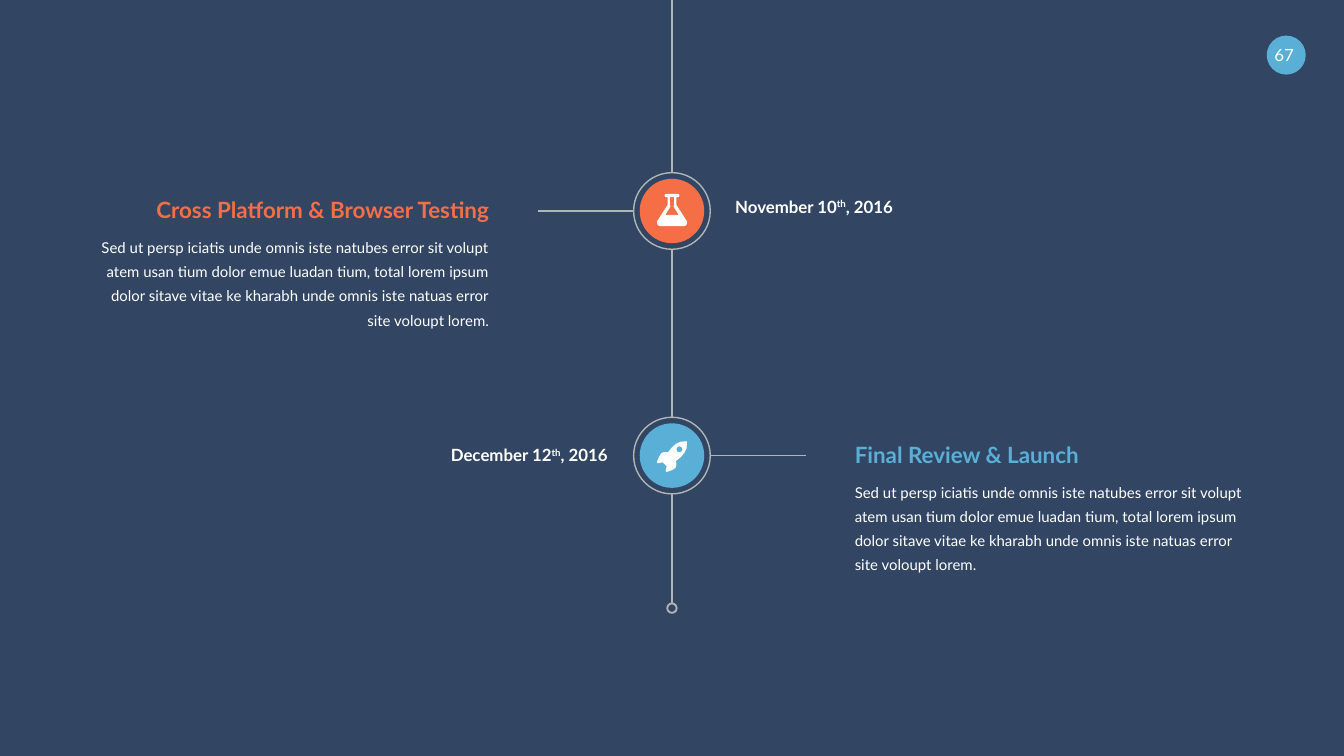
"""Build a dark timeline slide with two dated milestones."""
from dataclasses import dataclass
from itertools import pairwise
from math import cos, pi, sin

from lxml import etree
from pptx import Presentation
from pptx.dml.color import RGBColor
from pptx.enum import shapes, text
from pptx.oxml.ns import qn
from pptx.util import Inches, Pt

Points = list[tuple[float, float]]


@dataclass(frozen=True)
class Theme:
    """Colours, font and type sizes."""
    back: str = "324664"
    line: str = "B0B6B6"
    white: str = "FFFFFF"
    orange: str = "F56E46"
    blue: str = "5AAFD7"
    font: str = "Lato"
    heading: float = 12
    label: float = 9
    body: float = 8


@dataclass(frozen=True)
class Milestone:
    """One stop on the timeline, with its text on one side and date on the other."""
    y: float
    date_y: float
    text_x: float
    date_x: float
    on_left: bool
    color: str
    heading: str
    day: str
    icon: list[Points]


THEME = Theme()
AXIS = 5.0
RING, DISC, DOT = 0.57, 0.48, 0.07
SPINE_END = 4.49
BRANCH = 0.71
TEXT_W, DATE_W = 2.89, 1.62
BODY = ("Sed ut persp iciatis unde omnis iste natubes error sit volupt atem usan tium "
        "dolor emue luadan tium, total lorem ipsum dolor sitave vitae ke kharabh unde "
        "omnis iste natuas error site voloupt lorem.")


def mirrored(half: Points) -> Points:
    """Close a right-hand outline with its reflection."""
    return half + [(-x, y) for x, y in reversed(half)]


FLASK = [
    mirrored([(46, -127), (53, -122), (55, -115), (53, -107), (46, -103), (33, -103),
              (33, -45), (110, 75), (112, 92), (105, 107), (90, 113)]),
    mirrored([(15, -103), (15, -45), (11, -33), (50, 30)]),
]
ROCKET = [
    [(30, 40), (65, 12), (92, -20), (108, -55), (112, -102), (107, -107), (65, -103),
     (30, -88), (0, -62), (-30, -25), (-62, -26), (-80, -18), (-94, 5), (-112, 45),
     (-110, 54), (-100, 57), (-70, 50), (-40, 80), (-47, 110), (-45, 120), (-36, 121),
     (8, 105), (26, 90), (33, 68)],
    [(55 + 22 * cos(k * pi / 8), -47 + 22 * sin(k * pi / 8)) for k in range(16)],
]
MILESTONES = [
    Milestone(1.57, 1.46, 0.75, 5.47, True, THEME.orange,
              "Cross Platform & Browser Testing", "November 10", FLASK),
    Milestone(3.39, 3.31, 6.36, 2.9, False, THEME.blue,
              "Final Review & Launch", "December 12", ROCKET),
]


def rgb(color: str) -> RGBColor:
    """Turn a hex string into a colour."""
    return RGBColor.from_string(color)


def write(sp, *runs: str, size: float, color: str = THEME.white, bold: bool = False,
          align=text.PP_ALIGN.LEFT, spacing: float = 1.0, raised: str = "") -> None:
    """Fill a shape with one formatted, unbulleted paragraph."""
    tf = sp.text_frame
    tf.word_wrap = True
    tf.auto_size = text.MSO_AUTO_SIZE.NONE
    tf.vertical_anchor = text.MSO_ANCHOR.TOP
    tf.margin_left = tf.margin_right = tf.margin_top = tf.margin_bottom = 0
    p = tf.paragraphs[0]
    p.alignment, p.line_spacing = align, spacing
    p.space_before = p.space_after = Pt(0)
    props = p._p.get_or_add_pPr()
    props.set("marL", "0")
    props.set("indent", "0")
    etree.SubElement(props, qn("a:buNone"))
    for words in runs:
        r = p.add_run()
        r.text = words
        r.font.name, r.font.size, r.font.bold = THEME.font, Pt(size), bold
        r.font.color.rgb = rgb(color)
        if words == raised:
            r._r.get_or_add_rPr().set("baseline", "30000")


def place(sp, x: float, y: float, w: float, h: float):
    """Move and size a shape."""
    sp.left, sp.top, sp.width, sp.height = map(Inches, (x, y, w, h))
    return sp


def text_box(slide, x: float, y: float, w: float, h: float):
    """Add an empty text box."""
    return slide.shapes.add_textbox(*map(Inches, (x, y, w, h)))


def circle(slide, cx: float, cy: float, size: float, fill: str = "",
           line_width: float = 1) -> None:
    """Add a filled disc, or an outlined ring when no fill is given."""
    sp = slide.shapes.add_shape(shapes.MSO_SHAPE.OVAL, Inches(cx - size / 2),
                                Inches(cy - size / 2), Inches(size), Inches(size))
    sp.shadow.inherit = False
    if fill:
        sp.fill.solid()
        sp.fill.fore_color.rgb = rgb(fill)
        sp.line.fill.background()
    else:
        sp.fill.background()
        sp.line.color.rgb = rgb(THEME.line)
        sp.line.width = Pt(line_width)


def line(slide, x1: float, y1: float, x2: float, y2: float) -> None:
    """Add a plain timeline line."""
    sp = slide.shapes.add_connector(shapes.MSO_CONNECTOR.STRAIGHT,
                                    *map(Inches, (x1, y1, x2, y2)))
    sp.line.color.rgb = rgb(THEME.line)
    sp.line.width = Pt(1)
    etree.SubElement(sp._element.spPr, qn("a:effectLst"))


def icon(slide, outlines: list[Points], cx: float, cy: float) -> None:
    """Draw outlines, in thousandths of an inch around a centre, as one white shape."""
    outer, *holes = outlines
    builder = slide.shapes.build_freeform(*outer[0], scale=Inches(1) / 1000)
    builder.add_line_segments(outer[1:], close=True)
    for hole in holes:
        builder.move_to(*hole[0])
        builder.add_line_segments(hole[1:], close=True)
    sp = builder.convert_to_shape(Inches(cx), Inches(cy))
    sp.shadow.inherit = False
    sp.fill.solid()
    sp.fill.fore_color.rgb = rgb(THEME.white)
    sp.line.fill.background()


def milestone(slide, m: Milestone, heading, body) -> None:
    """Draw one milestone with its branch, badge, date and text."""
    left, right = text.PP_ALIGN.LEFT, text.PP_ALIGN.RIGHT
    text_align, date_align = (right, left) if m.on_left else (left, right)
    side = -1 if m.on_left else 1
    edge = AXIS + side * RING / 2
    line(slide, edge, m.y, edge + side * BRANCH, m.y)
    circle(slide, AXIS, m.y, RING, line_width=0.75)
    circle(slide, AXIS, m.y, DISC, fill=m.color)
    icon(slide, m.icon, AXIS, m.y)
    write(text_box(slide, m.date_x, m.date_y, DATE_W, 0.15), m.day, "th", ", 2016",
          size=THEME.label, bold=True, align=date_align, raised="th")
    write(place(heading, m.text_x, m.y - 0.11, TEXT_W, 0.2), m.heading,
          size=THEME.heading, color=m.color, bold=True, align=text_align)
    write(place(body, m.text_x, m.y + 0.16, TEXT_W, 0.71), BODY,
          size=THEME.body, align=text_align, spacing=1.35)


def main() -> None:
    """Build and save the slide."""
    prs = Presentation()
    prs.slide_width = Inches(10)
    prs.slide_height = prs.slide_width * 9 // 16
    slide = prs.slides.add_slide(prs.slide_layouts.get_by_name("Comparison"))
    slide.background.fill.solid()
    slide.background.fill.fore_color.rgb = rgb(THEME.back)
    title, *holders = slide.placeholders
    title._element.getparent().remove(title._element)

    circle(slide, 9.57, 0.41, 0.29, fill=THEME.blue)
    write(text_box(slide, 9.43, 0.33, 0.25, 0.15), "67", size=THEME.label,
          align=text.PP_ALIGN.CENTER)

    stops = [(0, 0), *((m.y, RING / 2) for m in MILESTONES), (SPINE_END, 0)]
    for (y1, gap1), (y2, gap2) in pairwise(stops):
        line(slide, AXIS, y1 + gap1, AXIS, y2 - gap2)
    circle(slide, AXIS, SPINE_END + DOT / 2, DOT)

    for m, heading, body in zip(MILESTONES, holders[::2], holders[1::2]):
        milestone(slide, m, heading, body)
    prs.save("out.pptx")


if __name__ == "__main__":
    main()
